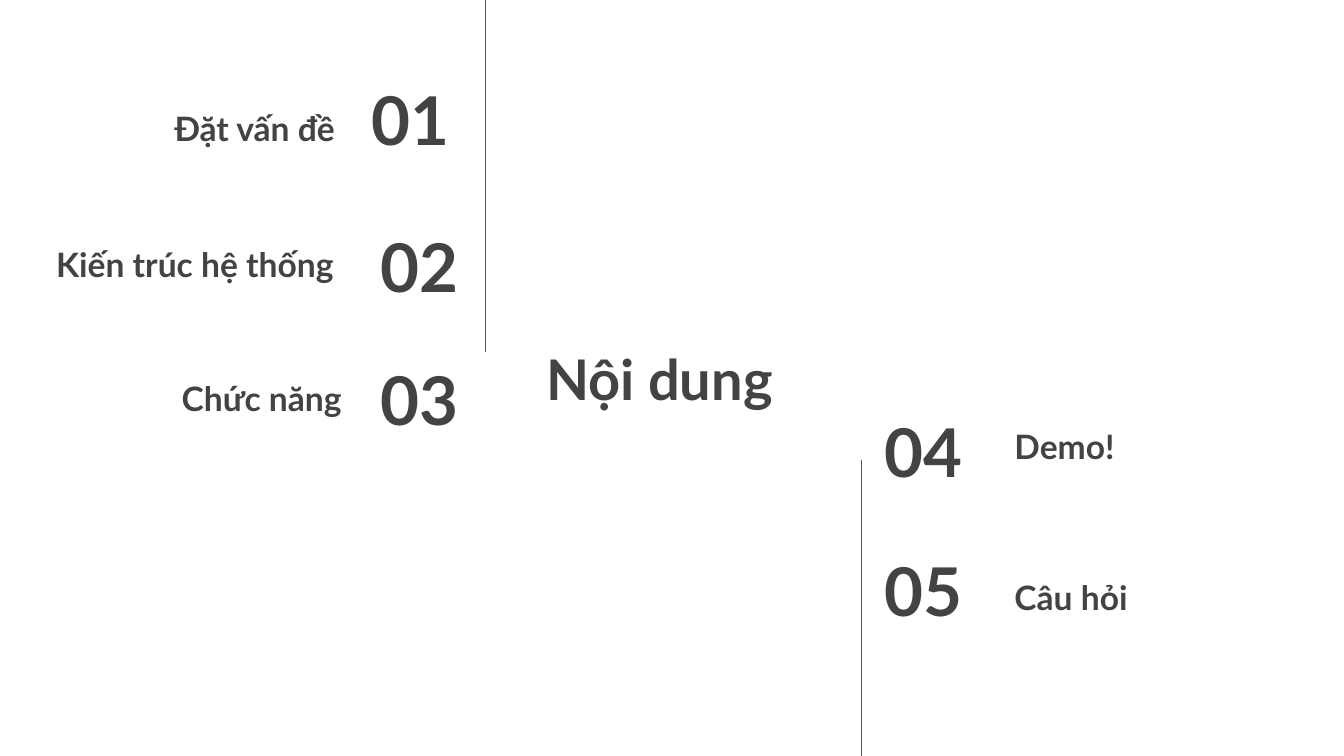
from lxml.etree import SubElement
from pptx import Presentation
from pptx.dml.color import RGBColor
from pptx.enum.shapes import MSO_CONNECTOR
from pptx.enum.text import MSO_ANCHOR, PP_ALIGN
from pptx.oxml.ns import qn
from pptx.util import Pt

COLORS = {"back": "FFFFFF", "text": "434343", "rule": "595959"}
FONT = "Lato"
WIDE, HIGH = 720, 405
ROW = 45.4  # height of each agenda box
LEFT, RIGHT, MID = PP_ALIGN.LEFT, PP_ALIGN.RIGHT, PP_ALIGN.CENTER

# Number, its left and top, label, its left, top and width, label anchor
BEFORE = [
    ("01", 160.6, 41, "Đặt vấn đề", 31, 41, 155.5, MSO_ANCHOR.BOTTOM),
    ("02", 165.6, 119.5, "Kiến trúc hệ thống", -15.8, 118.8, 201.6, MSO_ANCHOR.MIDDLE),
    ("03", 165.6, 190.8, "Chức năng", 34.6, 190.8, 155.5, MSO_ANCHOR.MIDDLE),
]
AFTER = [
    ("04", 466.6, 218.9, "Demo!", 536.4, 211.7, 155.5, MSO_ANCHOR.BOTTOM),
    ("05", 466.6, 293, "Câu hỏi", 536.4, 292.3, 155.5, MSO_ANCHOR.BOTTOM),
]


def color(name):
    return RGBColor.from_string(COLORS[name])


def add_text(slide, text, *, left, top, width, height=ROW, size=18,
             align=LEFT, anchor=MSO_ANCHOR.MIDDLE):
    box = slide.shapes.add_textbox(Pt(left), Pt(top), Pt(width), Pt(height))
    frame = box.text_frame
    frame.word_wrap = True
    frame.vertical_anchor = anchor
    frame.margin_left = frame.margin_right = Pt(7.2)
    frame.margin_top = frame.margin_bottom = Pt(7.2)
    para = frame.paragraphs[0]
    para.alignment = align
    run = para.add_run()
    run.text = text
    font = run.font
    font.name, font.size, font.bold = FONT, Pt(size), True
    font.color.rgb = color("text")


def add_rule(slide, x, top, end):
    rule = slide.shapes.add_connector(
        MSO_CONNECTOR.STRAIGHT, Pt(x), Pt(top), Pt(x), Pt(end))
    rule.line.color.rgb = color("rule")
    rule.line.width = Pt(0.75)
    SubElement(rule._element.spPr, qn("a:effectLst"))


def add_items(slide, items, align, width):
    for num, num_x, num_y, label, left, top, span, anchor in items:
        add_text(slide, num, left=num_x, top=num_y, width=width,
                 size=36, align=align)
        add_text(slide, label, left=left, top=top, width=span,
                 align=align, anchor=anchor)


def main():
    deck = Presentation()
    deck.slide_width, deck.slide_height = Pt(WIDE), Pt(HIGH)
    slide = deck.slides.add_slide(deck.slide_layouts[6])
    fill = slide.background.fill
    fill.solid()
    fill.fore_color.rgb = color("back")

    # Title
    add_text(slide, "Nội dung", left=260, top=165.6, width=186.5,
             height=74.2, size=30, align=MID)

    # Agenda on both sides of the title
    add_items(slide, BEFORE, RIGHT, 87.1)
    add_items(slide, AFTER, LEFT, 84.2)

    # Rules running to the slide edges
    add_rule(slide, 260, 0, 188.6)
    add_rule(slide, 461.5, 246.2, HIGH)

    deck.save("out.pptx")


if __name__ == "__main__":
    main()
